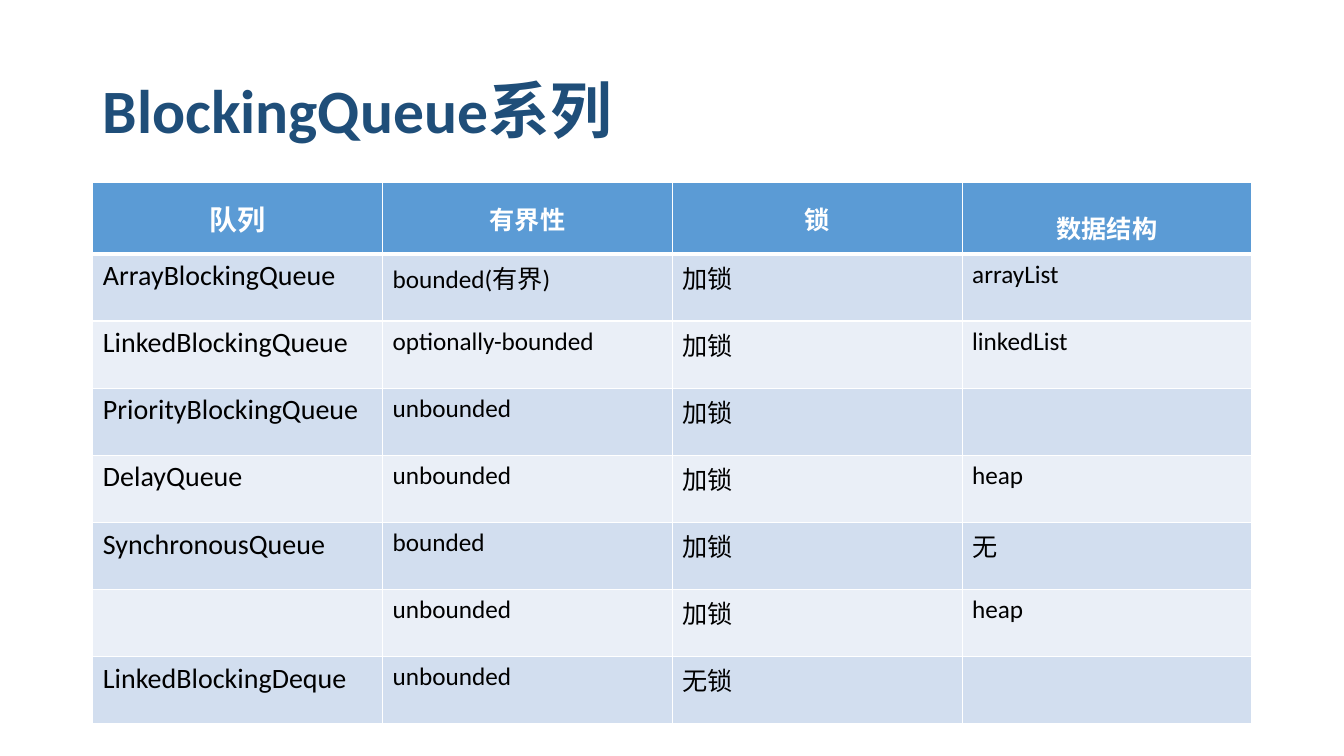
from dataclasses import dataclass

from lxml import etree
from pptx import Presentation
from pptx.dml.color import RGBColor
from pptx.enum import text
from pptx.oxml import ns
from pptx.util import Cm, Pt

COLORS = {
    "title": "1F4E79",
    "header": "5B9BD5",
    "odd": "D2DEEF",
    "even": "EAEFF7",
    "white": "FFFFFF",
    "black": "000000",
}
FONT = "Calibri"
LEFT, WIDTH = Cm(2.34), Cm(29.21)
HEADER_HEIGHT, ROW_HEIGHT = Cm(1.8), Cm(1.69)


@dataclass
class Queue:
    name: str
    bound: str
    lock: str
    structure: str = ""

    def values(self) -> list[str]:
        return [self.name, self.bound, self.lock, self.structure]


HEADER = Queue("队列", "有界性", "锁", "数据结构")
QUEUES = [
    Queue("ArrayBlockingQueue", "bounded(有界)", "加锁", "arrayList"),
    Queue("LinkedBlockingQueue", "optionally-bounded", "加锁", "linkedList"),
    Queue("PriorityBlockingQueue", "unbounded", "加锁"),
    Queue("DelayQueue", "unbounded", "加锁", "heap"),
    Queue("SynchronousQueue", "bounded", "加锁", "无"),
    Queue("", "unbounded", "加锁", "heap"),
    Queue("LinkedBlockingDeque", "unbounded", "无锁"),
]


def write(frame, words: str, *, size: float, color: str = "black",
          bold: bool = False, center: bool = False, spacing: float = 1.0,
          anchor=text.MSO_ANCHOR.TOP) -> None:
    frame.word_wrap = True
    frame.vertical_anchor = anchor
    para = frame.paragraphs[0]
    para.alignment = text.PP_ALIGN.CENTER if center else text.PP_ALIGN.LEFT
    para.line_spacing = spacing
    if not words:
        return
    span = para.add_run()
    span.text = words
    span.font.name = FONT
    span.font.size = Pt(size)
    span.font.bold = bold
    span.font.color.rgb = RGBColor.from_string(COLORS[color])


def paint_cell(cell, fill: str, top: float, bottom: float) -> None:
    """Fill a cell and give it white borders; top and bottom are in points."""
    properties = cell._tc.get_or_add_tcPr()
    for side, points in {"L": 1, "R": 1, "T": top, "B": bottom}.items():
        line = etree.SubElement(properties, ns.qn(f"a:ln{side}"), w=str(Pt(points)))
        solid = etree.SubElement(line, ns.qn("a:solidFill"))
        etree.SubElement(solid, ns.qn("a:srgbClr"), val=COLORS["white"])
    cell.fill.solid()
    cell.fill.fore_color.rgb = RGBColor.from_string(COLORS[fill])


def add_title(page) -> None:
    box = page.shapes.add_textbox(LEFT, Cm(1.02), WIDTH, Cm(3.68))
    write(box.text_frame, "BlockingQueue系列", size=44, color="title", bold=True,
          spacing=0.9, anchor=text.MSO_ANCHOR.MIDDLE)


def add_queue_table(page) -> None:
    rows = [HEADER, *QUEUES]
    columns = len(HEADER.values())
    height = HEADER_HEIGHT + ROW_HEIGHT * len(QUEUES)
    table = page.shapes.add_table(len(rows), columns, LEFT, Cm(4.6), WIDTH, height).table
    for index, queue in enumerate(rows):
        is_header = index == 0
        table.rows[index].height = HEADER_HEIGHT if is_header else ROW_HEIGHT
        fill = "header" if is_header else ("odd" if index % 2 else "even")
        for column, words in enumerate(queue.values()):
            cell = table.cell(index, column)
            paint_cell(cell, fill, top=3 if index == 1 else 1, bottom=3 if is_header else 1)
            size = 20 if column == 0 else 18
            if is_header:
                write(cell.text_frame, words, size=size, color="white", bold=True, center=True,
                      spacing=1.5 if column == columns - 1 else 1.0)
                cell.vertical_anchor = text.MSO_ANCHOR.MIDDLE
            else:
                write(cell.text_frame, words, size=size)


def main() -> None:
    deck = Presentation()
    deck.slide_width, deck.slide_height = Cm(33.87), Cm(19.05)
    page = deck.slides.add_slide(deck.slide_layouts[6])
    add_title(page)
    add_queue_table(page)
    deck.save("out.pptx")


if __name__ == "__main__":
    main()
